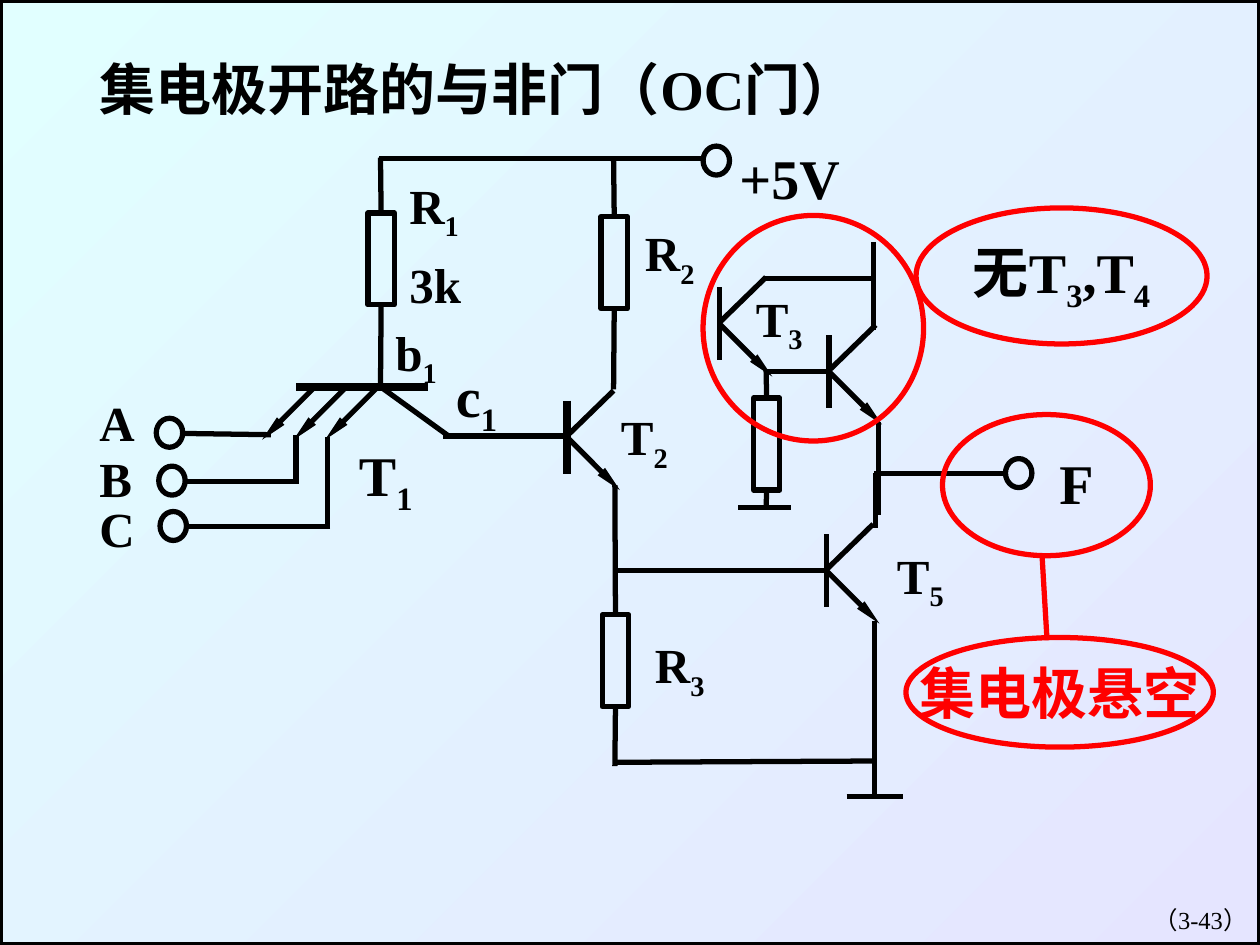
from lxml import etree
from pptx import Presentation
from pptx.dml.color import RGBColor
from pptx.enum import shapes, text
from pptx.oxml import ns
from pptx.util import Inches, Pt

COLORS = {"ink": "000000", "accent": "FF0000", "sky": "E1FFFF", "lilac": "E5E5FF"}
FONT = "Times New Roman"
TOP, BOTTOM = 0, 2  # connection sites of a rectangle


def color(name):
    return RGBColor.from_string(COLORS[name])


def write(frame, content, size=28, ink="ink", bold=True, align=text.PP_ALIGN.LEFT,
          anchor=text.MSO_ANCHOR.TOP, wrap=True, fit=text.MSO_AUTO_SIZE.NONE):
    """Fill a text frame; the character after each underscore is a subscript."""
    frame.word_wrap = wrap
    frame.auto_size = fit
    frame.vertical_anchor = anchor
    paragraph = frame.paragraphs[0]
    paragraph.alignment = align
    first, *others = content.split("_")
    pieces = [(first, False)]
    for part in others:
        pieces += [(part[0], True), (part[1:], False)]
    for piece, lowered in pieces:
        if not piece:
            continue
        run = paragraph.add_run()
        run.text = piece
        run.font.name = FONT
        run.font.size = Pt(size)
        run.font.bold = bold
        run.font.color.rgb = color(ink)
        if lowered:
            run._r.get_or_add_rPr().set("baseline", "-25000")


class CircuitSlide:
    """Holds the line style and the slide that is being drawn."""

    def __init__(self, slide, line_width=3):
        self.slide = slide
        self.line_width = line_width

    def background(self):
        fill = self.slide.background.fill
        fill.gradient()
        fill.gradient_angle = 315
        for stop, name in zip(fill.gradient_stops, ("sky", "lilac")):
            stop.color.rgb = color(name)

    def title(self, content, left, top, width, height):
        shape = self.slide.shapes.title
        shape.left, shape.top = Inches(left), Inches(top)
        shape.width, shape.height = Inches(width), Inches(height)
        write(shape.text_frame, content, size=32)

    def label(self, content, left, top, width, height=0.6, **style):
        box = self.slide.shapes.add_textbox(
            Inches(left), Inches(top), Inches(width), Inches(height))
        write(box.text_frame, content, **style)

    def outline(self, kind, left, top, width, height, ink="ink"):
        shape = self.slide.shapes.add_shape(
            kind, Inches(left), Inches(top), Inches(width), Inches(height))
        shape.shadow.inherit = False
        shape.fill.background()
        shape.line.color.rgb = color(ink)
        shape.line.width = Pt(self.line_width)
        return shape

    def resistor(self, left, top):
        return self.outline(shapes.MSO_SHAPE.RECTANGLE, left, top, 0.21, 0.73)

    def terminal(self, left, top):
        return self.outline(shapes.MSO_SHAPE.OVAL, left, top, 0.21, 0.23)

    def callout(self, left, top, width, height, content=None, ink="accent"):
        shape = self.outline(shapes.MSO_SHAPE.OVAL, left, top, width, height, "accent")
        if content:
            write(shape.text_frame, content, size=32, ink=ink, wrap=False,
                  align=text.PP_ALIGN.CENTER, anchor=text.MSO_ANCHOR.MIDDLE)

    def wire(self, start, end, ink="ink", width=None, arrow=False,
             begin_at=None, end_at=None):
        line = self.slide.shapes.add_connector(
            shapes.MSO_CONNECTOR.STRAIGHT, *(Inches(v) for v in (*start, *end)))
        line.line.color.rgb = color(ink)
        line.line.width = Pt(width or self.line_width)
        if arrow:
            etree.SubElement(line.line._get_or_add_ln(), ns.qn("a:tailEnd"),
                             type="triangle", w="sm", len="lg")
        etree.SubElement(line._element.spPr, ns.qn("a:effectLst"))
        if begin_at:
            line.begin_connect(*begin_at)
        if end_at:
            line.end_connect(*end_at)

    def transistor(self, x, y, base_width=None):
        self.wire((x, y - 0.29), (x, y + 0.29), width=base_width)
        self.wire((x, y), (x + 0.42, y + 0.42), arrow=True)
        self.wire((x, y - 0.01), (x + 0.37, y - 0.37))


def main():
    presentation = Presentation()
    presentation.slide_width, presentation.slide_height = Inches(10), Inches(7.5)
    circuit = CircuitSlide(presentation.slides.add_slide(presentation.slide_layouts[5]))

    # Background, frame, title and page number
    circuit.background()
    circuit.outline(shapes.MSO_SHAPE.RECTANGLE, 0, 0, 10, 7.5)
    circuit.title("集电极开路的与非门（OC门）", 0.69, 0.38, 8, 0.64)
    circuit.label("（3-43）", 7.92, 7.13, 2.08, 0.5, size=14, bold=False,
                  align=text.PP_ALIGN.RIGHT)

    # Resistors and terminals
    r1, r2 = circuit.resistor(2.92, 1.69), circuit.resistor(4.77, 1.72)
    r3, r4 = circuit.resistor(4.78, 4.88), circuit.resistor(5.98, 3.16)
    for place in ((5.58, 1.16), (7.98, 3.64), (1.24, 3.32), (1.26, 3.7), (1.27, 4.06)):
        circuit.terminal(*place)

    # Input transistor T1 with three emitters
    circuit.wire((2.35, 3.07), (3.4, 3.07), width=4.5)
    for x in (3, 2.75, 2.5):
        circuit.wire((x, 3.07), (x - 0.42, 3.49), arrow=True)

    # Transistors T2, T5, T3 and T4
    circuit.transistor(4.5, 3.47, base_width=4.5)
    for place in ((6.56, 4.53), (5.71, 2.57), (6.58, 2.95)):
        circuit.transistor(*place)

    # Wires joined to resistors
    for resistor, side, end in (
        (r1, TOP, (3.02, 1.25)), (r1, BOTTOM, (3.02, 3.07)),
        (r2, TOP, (4.87, 1.25)), (r2, BOTTOM, (4.87, 3.09)),
        (r3, TOP, (4.88, 3.85)), (r3, BOTTOM, (4.88, 6.08)),
        (r4, TOP, (6.08, 2.93)), (r4, BOTTOM, (6.08, 4.04)),
    ):
        circuit.wire(end, end, begin_at=(resistor, side))

    # Free wires
    for start, end in (
        ((3.01, 1.26), (5.59, 1.26)),  # supply
        ((3.02, 3.07), (3.56, 3.46)), ((3.52, 3.46), (4.5, 3.46)),  # T1 to T2
        ((2.15, 3.45), (1.44, 3.44)),  # inputs A, B, C
        ((2.35, 3.45), (2.35, 3.84)), ((2.35, 3.82), (1.47, 3.82)),
        ((2.6, 3.47), (2.6, 4.2)), ((2.62, 4.18), (1.49, 4.18)),
        ((6.55, 4.53), (4.88, 4.53)), ((6.94, 4.93), (6.94, 6.33)),  # T5
        ((4.89, 6.05), (6.94, 6.04)), ((6.72, 6.32), (7.17, 6.32)),  # ground
        ((6.94, 3.76), (7.99, 3.76)), ((6.95, 3.75), (6.95, 4.19)),  # output
        ((6.06, 2.95), (6.58, 2.95)), ((6.06, 2.21), (6.93, 2.21)),  # T3 and T4
        ((6.93, 1.92), (6.93, 2.62)), ((6.97, 3.35), (6.97, 4.09)),
        ((5.86, 4.03), (6.28, 4.03)),
    ):
        circuit.wire(start, end)

    # Labels
    for content, left, top, width, size in (
        ("+5V", 5.77, 1.09, 1.38, 32), ("F", 8.31, 3.51, 0.81, 32),
        ("R_1", 3.15, 1.34, 1.15, 28), ("3k", 3.15, 1.97, 1.35, 28),
        ("R_2", 5.02, 1.72, 1.15, 28), ("R_3", 5.1, 4.99, 1.13, 28),
        ("T_1", 2.75, 3.45, 0.79, 32), ("T_2", 4.83, 3.18, 0.67, 28),
        ("T_3", 5.9, 2.24, 1.08, 28), ("T_5", 7.02, 4.28, 0.73, 28),
        ("b_1", 3.04, 2.51, 0.88, 28), ("c_1", 3.52, 2.82, 1.1, 32),
        ("A", 0.69, 3.07, 0.77, 28), ("B", 0.69, 3.51, 0.77, 28),
        ("C", 0.69, 3.91, 0.77, 28),
    ):
        circuit.label(content, left, top, width, size=size,
                      fit=text.MSO_AUTO_SIZE.SHAPE_TO_FIT_TEXT)

    # Red callouts
    circuit.callout(7.48, 3.29, 1.65, 1.12)
    circuit.callout(7.19, 5.06, 2.44, 0.87, "集电极悬空")
    circuit.wire((8.27, 4.4), (8.31, 5.08), ink="accent")
    circuit.callout(5.58, 1.71, 1.75, 1.79)
    circuit.callout(7.27, 1.65, 2.31, 1.08, "无T_3,T_4", ink="ink")

    presentation.save("out.pptx")


if __name__ == "__main__":
    main()
